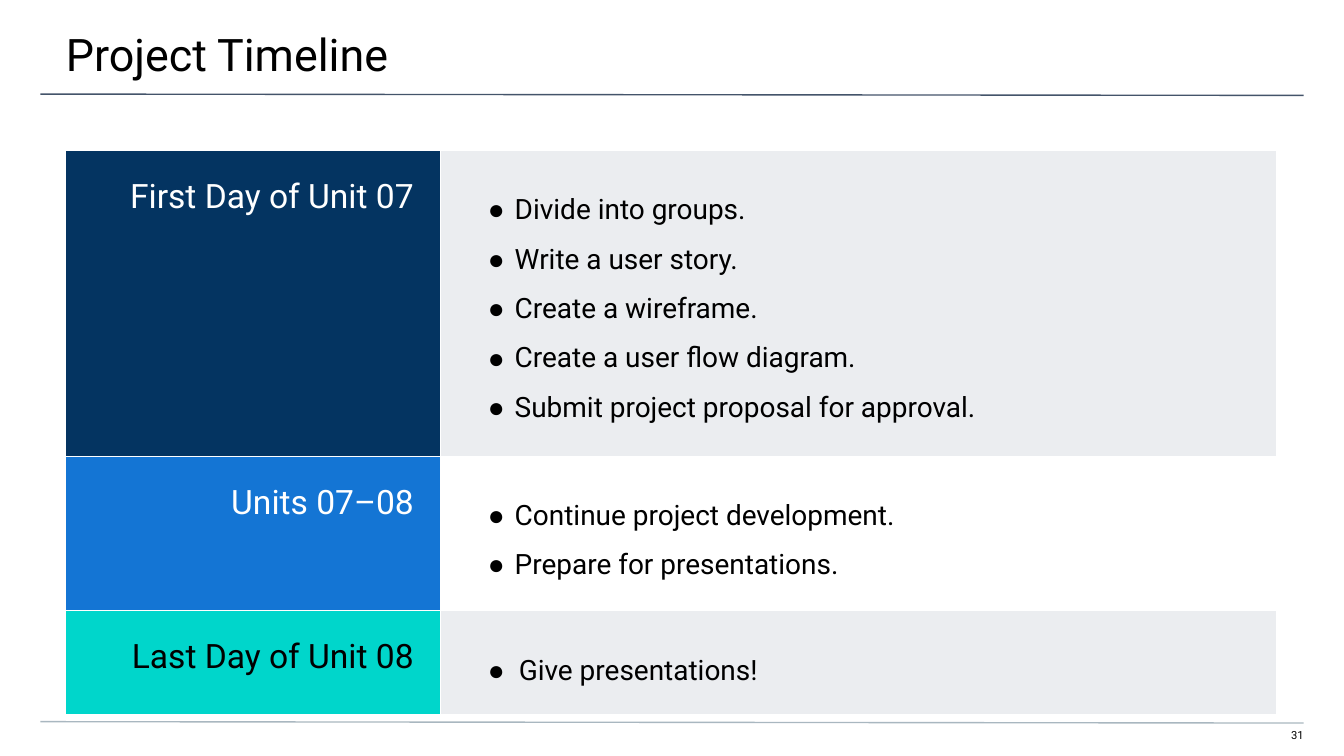
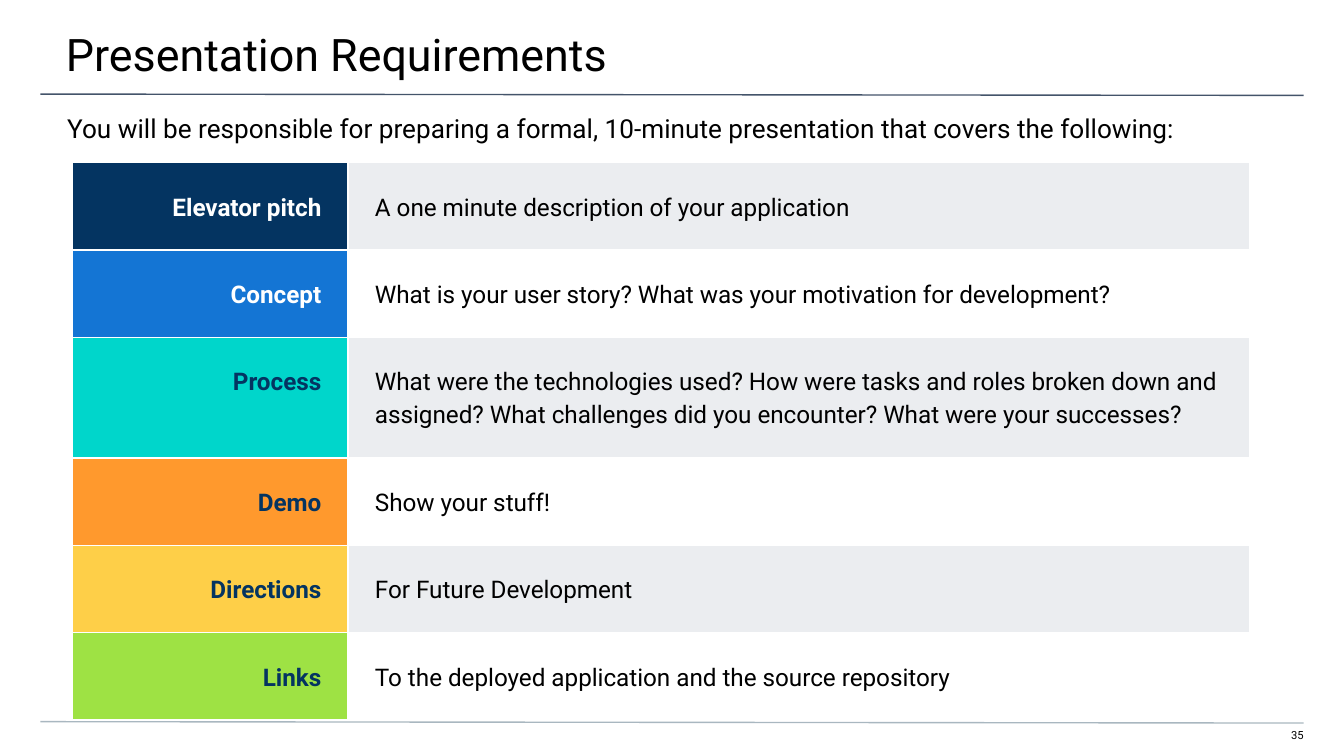
from lxml import etree
from pptx import Presentation
from pptx import util as u
from pptx.dml.color import RGBColor
from pptx.enum import shapes, text
from pptx.oxml import ns

THEME = {
    "font": "Roboto", "bullet_font": "Arial",
    "black": "000000", "white": "FFFFFF", "navy": "043461", "blue": "1475D4",
    "teal": "00D6CB", "orange": "FF992D", "yellow": "FECF48", "green": "9EE244",
    "gray": "EBEDF0", "header_rule": "44546A", "footer_rule": "A9B7C0",
    "title": 24, "label": 18, "bullet": 15, "intro": 14, "requirement": 13, "number": 6,
}
LEFT, RIGHT = text.PP_ALIGN.LEFT, text.PP_ALIGN.RIGHT
CELL_MARGINS = (0.2, 0.2, 0.2, 0.2)

SLIDES = [
    {
        "title": "Project Timeline", "number": "31", "intro": None,
        "left": 0.49, "top": 1.12, "height": 4.07,
        "columns": (2.79, 6.22), "row_heights": (1.35, 0.99, 0.72),
        "label": {"size": "label", "bold": False, "spacing": 1.0},
        "detail": {"size": "bullet", "spacing": 1.5},
        "indents": (0.2, 0.2, 0.23),
        "rows": [
            ("First Day of Unit 07", "navy", "white",
             ["Divide into groups.", "Write a user story.", "Create a wireframe.",
              "Create a user flow diagram.", "Submit project proposal for approval."]),
            ("Units 07–08", "blue", "white",
             ["Continue project development.", "Prepare for presentations."]),
            ("Last Day of Unit 08", "teal", "black", ["Give presentations!"]),
        ],
    },
    {
        "title": "Presentation Requirements", "number": "35",
        "intro": "You will be responsible for preparing a formal, 10-minute presentation "
                 "that covers the following:",
        "left": 0.54, "top": 1.21, "height": 4.05,
        "columns": (2.05, 6.71), "row_heights": (0.63, 0.63, 0.62, 0.63, 0, 0.51),
        "label": {"size": "requirement", "bold": True, "spacing": 1.15},
        "detail": {"size": "requirement", "spacing": 1.15},
        "indents": (0,) * 6,
        "rows": [
            ("Elevator pitch", "navy", "white", ["A one minute description of your application"]),
            ("Concept", "blue", "white",
             ["What is your user story? What was your motivation for development?"]),
            ("Process", "teal", "navy",
             ["What were the technologies used? How were tasks and roles broken down and assigned? "
              "What challenges did you encounter? What were your successes?"]),
            ("Demo", "orange", "navy", ["Show your stuff!"]),
            ("Directions", "yellow", "navy", ["For Future Development"]),
            ("Links", "green", "navy", ["To the deployed application and the source repository"]),
        ],
    },
]


def write_text(holder, lines, margins, size, color="black", bold=False,
               alignment=LEFT, spacing=1.0, hanging=0):
    frame = holder.text_frame
    box = frame if hasattr(holder, "shape_id") else holder
    for side, margin in zip(("left", "top", "right", "bottom"), margins):
        setattr(box, f"margin_{side}", u.Inches(margin))
    box.vertical_anchor = text.MSO_ANCHOR.TOP
    frame.word_wrap = True
    for index, line in enumerate(lines):
        paragraph = frame.add_paragraph() if index else frame.paragraphs[0]
        paragraph.text = line
        layout = {"alignment": alignment, "line_spacing": spacing,
                  "space_before": u.Pt(0), "space_after": u.Pt(0)}
        for name, value in layout.items():
            setattr(paragraph, name, value)
        if hanging:
            properties = paragraph._p.get_or_add_pPr()
            properties.set("marL", str(u.Inches(0.15 + hanging)))
            properties.set("indent", str(u.Inches(-hanging)))
            bullet_color = etree.SubElement(properties, ns.qn("a:buClr"))
            etree.SubElement(bullet_color, ns.qn("a:srgbClr"), val=THEME["black"])
            etree.SubElement(properties, ns.qn("a:buFont"), typeface=THEME["bullet_font"])
            etree.SubElement(properties, ns.qn("a:buChar"), char="●")
        font = {"name": THEME["font"], "size": u.Pt(THEME[size]), "bold": bold}
        for run in paragraph.runs:
            for name, value in font.items():
                setattr(run.font, name, value)
            run.font.color.rgb = RGBColor.from_string(THEME[color])


def paint_cell(cell, fill):
    cell.fill.solid()
    cell.fill.fore_color.rgb = RGBColor.from_string(THEME[fill])
    properties = cell._tc.get_or_add_tcPr()
    for index, side in enumerate(("lnL", "lnR", "lnT", "lnB")):
        border = etree.Element(ns.qn(f"a:{side}"), w=str(u.Pt(0.75)))
        solid = etree.SubElement(border, ns.qn("a:solidFill"))
        etree.SubElement(solid, ns.qn("a:srgbClr"), val=THEME["white"])
        properties.insert(index, border)


presentation = Presentation()
presentation.slide_width = u.Inches(10)
presentation.slide_height = presentation.slide_width * 9 // 16
title_only = presentation.slide_layouts[5]

for content in SLIDES:
    slide = presentation.slides.add_slide(title_only)

    title = slide.shapes.title
    title.left, title.top = u.Inches(-0.01), u.Inches(0)
    title.width, title.height = u.Inches(10.03), u.Inches(0.58)
    title.text_frame.auto_size = text.MSO_AUTO_SIZE.NONE
    write_text(title, [content["title"]], (0.5, 0.2, 0.3, 0.1), "title")

    for top, color in ((0.7, "header_rule"), (5.37, "footer_rule")):
        rule = slide.shapes.add_connector(
            shapes.MSO_CONNECTOR.STRAIGHT,
            u.Inches(0.3), u.Inches(top), u.Inches(9.7), u.Inches(top + 0.01))
        rule.line.width = u.Pt(0.75)
        rule.line.color.rgb = RGBColor.from_string(THEME[color])
        etree.SubElement(rule._element.spPr, ns.qn("a:effectLst"))

    number = slide.shapes.add_textbox(
        u.Inches(9.41), u.Inches(5.42), u.Inches(0.29), u.Inches(0.12))
    write_text(number, [content["number"]], (0, 0, 0, 0.1), "number", alignment=RIGHT)

    if content["intro"]:
        intro = slide.shapes.add_textbox(
            u.Inches(0), u.Inches(0.74), u.Inches(10), u.Inches(0.4))
        write_text(intro, [content["intro"]], (0.5, 0.1, 0.5, 0), "intro")

    rows = content["rows"]
    table_frame = slide.shapes.add_table(
        len(rows), 2, u.Inches(content["left"]), u.Inches(content["top"]),
        u.Inches(sum(content["columns"])), u.Inches(content["height"]))
    table = table_frame.table
    table.first_row = table.horz_banding = False
    for column, width in zip(table.columns, content["columns"]):
        column.width = u.Inches(width)
    for index, (label, fill, label_color, details) in enumerate(rows):
        table.rows[index].height = u.Inches(content["row_heights"][index])
        label_cell, detail_cell = table.cell(index, 0), table.cell(index, 1)
        paint_cell(label_cell, fill)
        paint_cell(detail_cell, "white" if index % 2 else "gray")
        write_text(label_cell, [label], CELL_MARGINS, color=label_color,
                   alignment=RIGHT, **content["label"])
        write_text(detail_cell, details, CELL_MARGINS,
                   hanging=content["indents"][index], **content["detail"])
    table_frame.height = u.Inches(content["height"])

presentation.save("out.pptx")
